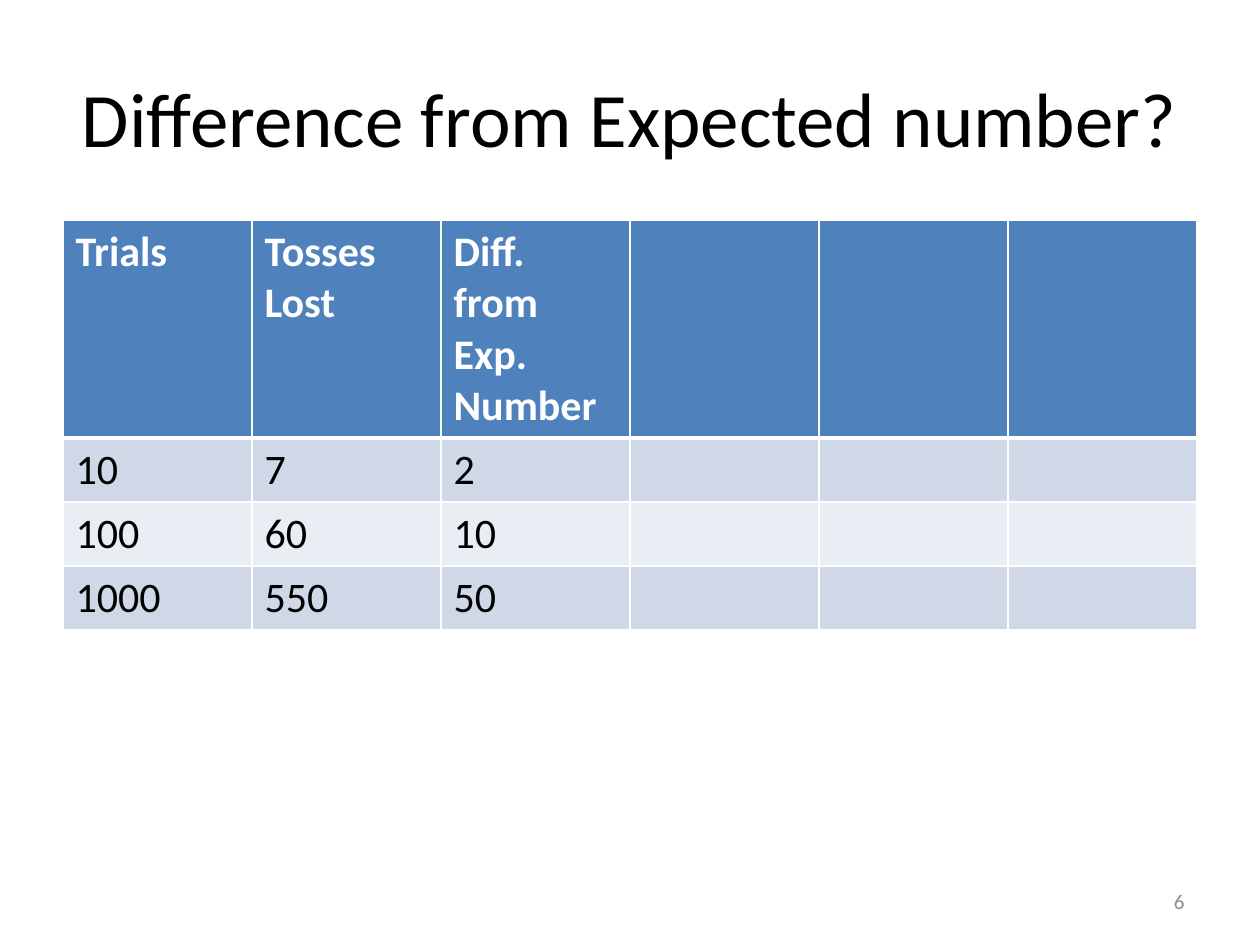
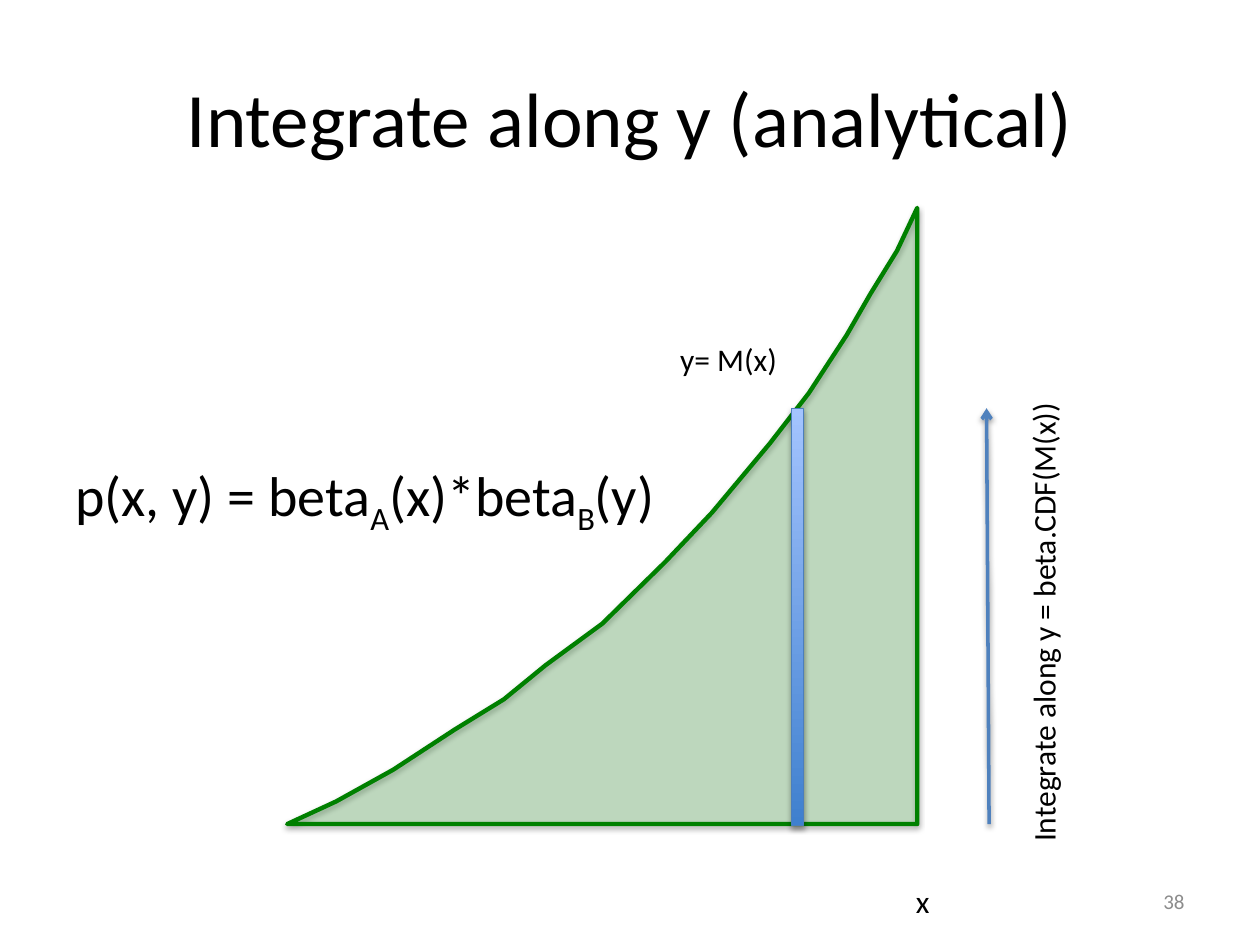
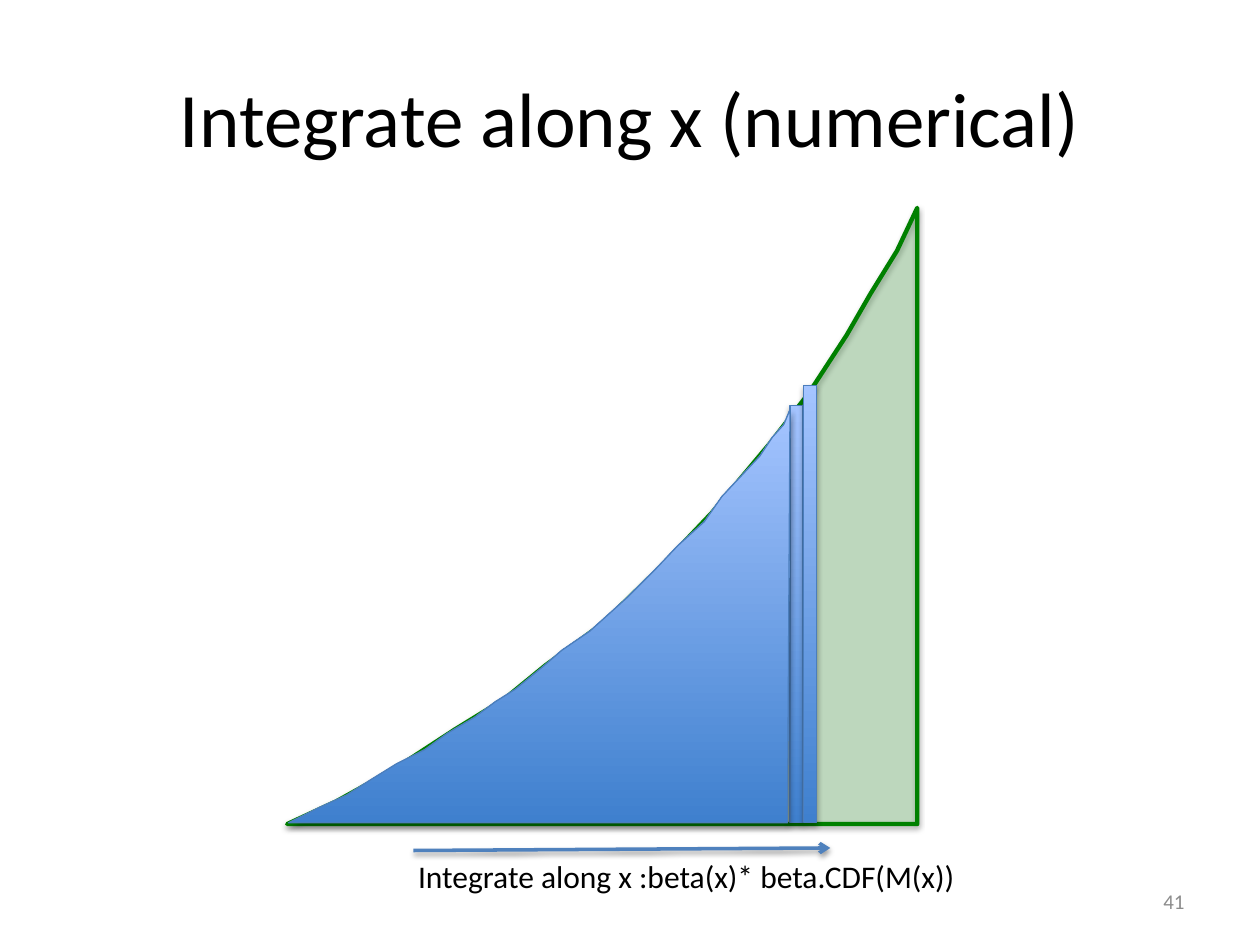
"""Build three lecture slides on expected numbers and on integrating a beta density."""
import lxml.etree
import pptx
import pptx.dml.color
import pptx.enum.shapes
import pptx.enum.text
import pptx.oxml.ns
import pptx.util

THEME = {
    "font": "Calibri",
    "size": {"title": 44, "math": 32, "cell": 24, "note": 18, "foot": 12},
    "ink": "000000", "white": "FFFFFF", "gray": "8C8C8C",
    "head": "4F81BD", "bands": ("D0D8E8", "E9EDF4"),
    "area": "008000", "deep": "3F80CE", "pale": "A4C4FF",
    "edge": "4B7EBC", "arrow": "4F81BD",
}
COLS, ROWS = 100, 75
UNIT = pptx.util.Inches(0.1)
TITLE = (5, 3, 90, 12.5)
FOOT = (71.7, 69.5, 23.3, 4)
GRID = (5, 17.5, 90, 32)
HEAD = 17

TABLE = [
    ["Trials", "Tosses Lost", "Diff. from Exp. Number", "", "", ""],
    ["10", "7", "2", "", "", ""],
    ["100", "60", "10", "", "", ""],
    ["1000", "550", "50", "", "", ""],
]
AREA = [
    (22.8, 65.4), (26.7, 63.6), (31.2, 61.1), (36.1, 57.9), (40, 55.5), (43.3, 52.8),
    (47.8, 49.5), (52.8, 44.6), (56.5, 40.7), (61.1, 35.2), (64.2, 31.2), (67.2, 26.6),
    (69.1, 23.3), (71.2, 19.9), (72.8, 16.5), (72.8, 65.4),
]
SWEPT = [
    (62.5, 65.3), (22.9, 65.3), (25.3, 64.1), (27.5, 63.1), (29.4, 61.9), (31.5, 60.6),
    (33.7, 59.5), (35.5, 58.2), (37.7, 56.9), (39.3, 55.7), (40.9, 54.7), (43.1, 52.9),
    (44.6, 51.6), (46.8, 50.1), (49.8, 47.4), (52, 45.2), (53.8, 43.3), (55.9, 41.4),
    (57.3, 39.4), (58.8, 37.8), (60.3, 36.2), (61.3, 34.7), (62.2, 33.7), (62.7, 32.5),
]
SLIDES = [
    ("Difference from Expected number?", "6", [("table", TABLE)]),
    ("Integrate along y (analytical)", "38", [
        ("area", AREA),
        ("note", ["x"], (71.7, 69.5, 3.1, 4)),
        ("note", ["y= M(x)"], (53, 26.5, 9.8, 4)),
        ("bar", (62.8, 32.4, 1, 33.1)),
        ("arrow", (78.5, 65.4), (78.3, 32.4)),
        ("note", ["Integrate along y = beta.CDF(M(x))"], (64.1, 47.1, 37.4, 4), "note", 270),
        ("note", ["p(x, y) = beta", "A", "(x)*beta", "B", "(y)"], (5, 36.1, 49, 6.4), "math"),
    ]),
    ("Integrate along x (numerical)", "41", [
        ("area", AREA),
        ("bar", (62.7, 32.2, 1, 33.1)),
        ("arrow", (32.8, 67.5), (65.9, 67.3)),
        ("note", ["Integrate along x :beta(x)* beta.CDF(M(x))"], (32.2, 67.5, 45.3, 4)),
        ("swept", SWEPT),
        ("bar", (63.8, 30.6, 1, 34.7)),
    ]),
]


def span(*vals):
    return [round(val * UNIT) for val in vals]


def tint(name):
    return pptx.dml.color.RGBColor.from_string(name)


def node(base, tag, **attrs):
    return lxml.etree.SubElement(base, pptx.oxml.ns.qn(tag), attrs)


def style(frame, size, color, bold=False):
    for para in frame.paragraphs:
        for run in para.runs:
            run.font.name = THEME["font"]
            run.font.size = pptx.util.Pt(THEME["size"][size])
            run.font.bold = bold
            run.font.color.rgb = tint(color)


def shade(item, alpha, dist):
    fx = node(item._element.spPr, "a:effectLst")
    cast = node(fx, "a:outerShdw", blurRad="40000", dist=str(dist), dir="5400000", rotWithShape="0")
    node(node(cast, "a:srgbClr", val=THEME["ink"]), "a:alpha", val=str(alpha * 1000))


def trace(item, color, width):
    item.line.color.rgb = tint(color)
    item.line.width = pptx.util.Pt(width)


def blue(item):
    item.fill.gradient()
    item.fill.gradient_angle = 90
    for stop, name in zip(item.fill.gradient_stops, ("deep", "pale")):
        stop.color.rgb = tint(THEME[name])
    trace(item, THEME["edge"], 0.75)
    shade(item, 35, 23000)


def shape(slide, dots):
    dots = [(round(x * 10), round(y * 10)) for x, y in dots]
    form = slide.shapes.build_freeform(*dots[0], scale=UNIT / 10)
    form.add_line_segments(dots[1:], close=True)
    return form.convert_to_shape()


def area(slide, dots):
    item = shape(slide, dots)
    item.fill.solid()
    item.fill.fore_color.rgb = tint(THEME["area"])
    color = item._element.spPr.find(".//" + pptx.oxml.ns.qn("a:srgbClr"))
    node(color, "a:alpha", val="20000")
    trace(item, THEME["area"], 2.5)
    shade(item, 35, 23000)


def swept(slide, dots):
    blue(shape(slide, dots))


def bar(slide, box):
    blue(slide.shapes.add_shape(pptx.enum.shapes.MSO_SHAPE.RECTANGLE, *span(*box)))


def arrow(slide, start, end):
    kind = pptx.enum.shapes.MSO_CONNECTOR.STRAIGHT
    item = slide.shapes.add_connector(kind, *span(*start, *end))
    trace(item, THEME["arrow"], 2)
    node(item.line._get_or_add_ln(), "a:tailEnd", type="arrow")
    shade(item, 38, 20000)


def note(slide, parts, box, size="note", turn=0):
    item = slide.shapes.add_textbox(*span(*box))
    item.rotation = turn
    frame = item.text_frame
    frame.word_wrap = False
    frame.auto_size = pptx.enum.text.MSO_AUTO_SIZE.SHAPE_TO_FIT_TEXT
    for rank, part in enumerate(parts):
        run = frame.paragraphs[0].add_run()
        run.text = part
        if rank % 2:
            run.font._element.set("baseline", "-25000")
    style(frame, size, THEME["ink"])


def rule(cell, row):
    widths = {"L": 1, "R": 1, "T": 3 if row == 1 else 1, "B": 1 if row else 3}
    for side, width in widths.items():
        line = node(cell._tc.get_or_add_tcPr(), "a:ln" + side, w=str(pptx.util.Pt(width)))
        node(node(line, "a:solidFill"), "a:srgbClr", val=THEME["white"])


def table(slide, data):
    grid = slide.shapes.add_table(len(data), len(data[0]), *span(*GRID)).table
    rest = (GRID[3] - HEAD) / (len(data) - 1)
    for row, texts in enumerate(data):
        grid.rows[row].height = span(rest if row else HEAD)[0]
        for col, text in enumerate(texts):
            cell = grid.cell(row, col)
            rule(cell, row)
            cell.fill.solid()
            cell.fill.fore_color.rgb = tint(THEME["bands"][(row - 1) % 2] if row else THEME["head"])
            if text:
                cell.text_frame.text = text
                style(cell.text_frame, "cell", THEME["ink" if row else "white"], not row)


def label(item, text, size, color, align):
    frame = item.text_frame
    frame.text = text
    frame.word_wrap = True
    frame.vertical_anchor = pptx.enum.text.MSO_ANCHOR.MIDDLE
    frame.paragraphs[0].alignment = align
    style(frame, size, color)


def build():
    deck = pptx.Presentation()
    deck.slide_width, deck.slide_height = span(COLS, ROWS)
    align = pptx.enum.text.PP_ALIGN
    draw = {"table": table, "area": area, "swept": swept, "bar": bar, "arrow": arrow, "note": note}
    for title, number, parts in SLIDES:
        slide = deck.slides.add_slide(deck.slide_layouts[5])
        head = slide.shapes.title
        head.left, head.top, head.width, head.height = span(*TITLE)
        label(head, title, "title", THEME["ink"], align.CENTER)
        for kind, *args in parts:
            draw[kind](slide, *args)
        foot = slide.shapes.add_textbox(*span(*FOOT))
        label(foot, number, "foot", THEME["gray"], align.RIGHT)
    deck.save("out.pptx")


build()
